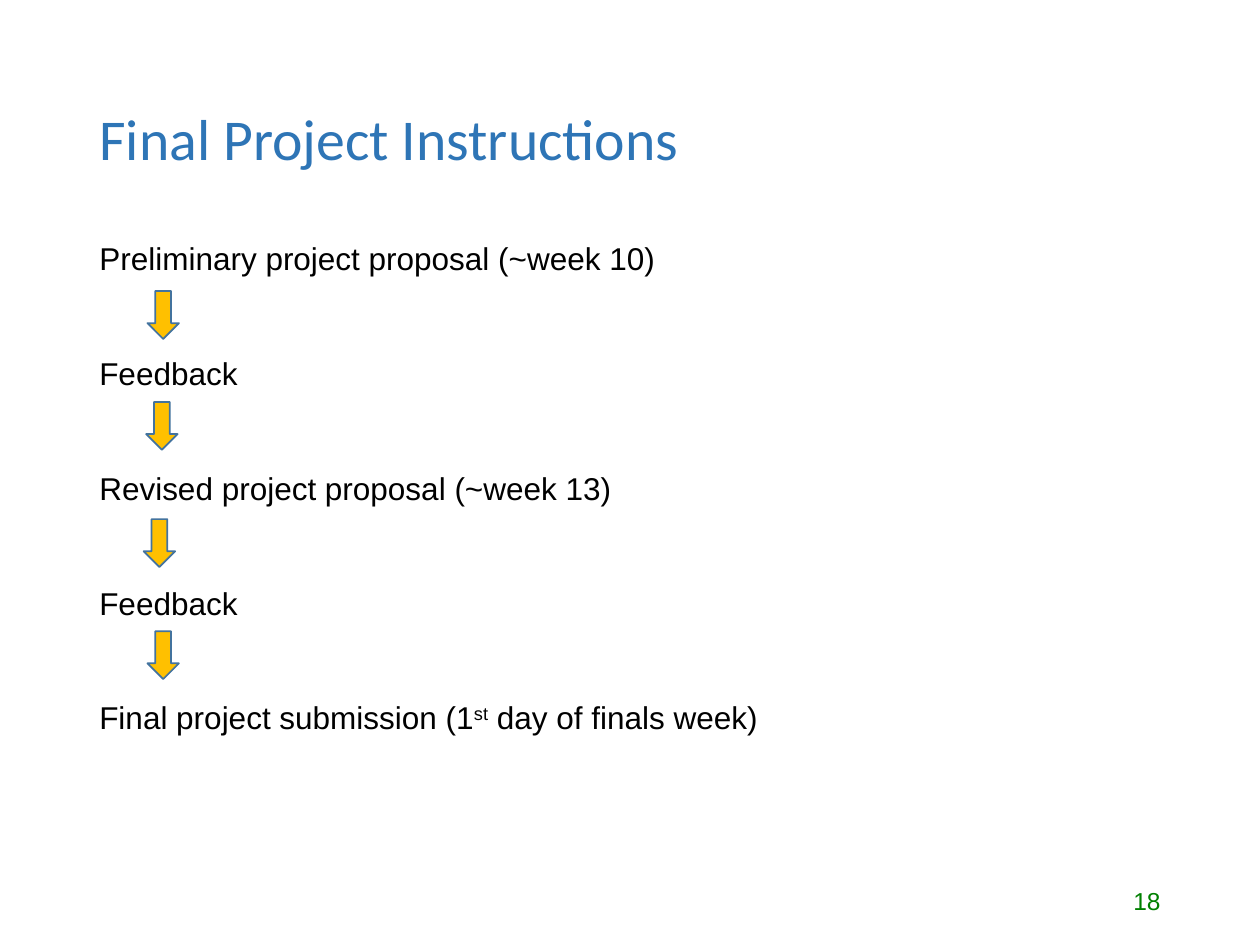
from pptx import Presentation
from pptx.dml.color import RGBColor
from pptx.enum.shapes import MSO_SHAPE
from pptx.enum.text import MSO_ANCHOR, PP_ALIGN
from pptx.util import Inches, Pt

# Content: each step is a list of (text, is superscript)
TITLE = "Final Project Instructions"
STEPS = [
    [("Preliminary project proposal (~week 10)", False)],
    [("Feedback", False)],
    [("Revised project proposal (~week 13)", False)],
    [("Feedback", False)],
    [("Final project submission (1", False), ("st", True),
     (" day of finals week)", False)],
]
PAGE = "18"
ARROWS = [(1.17, 2.31), (1.16, 3.19), (1.14, 4.12), (1.17, 5.01)]  # left, top

BLUE = RGBColor(0x2E, 0x75, 0xB6)
BLACK = RGBColor(0, 0, 0)
GREEN = RGBColor(0, 0x80, 0)
GOLD = RGBColor(0xFF, 0xC0, 0)
OUTLINE = RGBColor(0x43, 0x73, 0x9E)

# Layout in inches
WIDTH, HEIGHT = 10, 7.5
MARGIN = 0.69
INNER = WIDTH - 2 * MARGIN
ARROW_W, ARROW_H = 0.25, 0.38
STEP_GAP = Pt(44)

prs = Presentation()
prs.slide_width, prs.slide_height = Inches(WIDTH), Inches(HEIGHT)
s = prs.slides.add_slide(prs.slide_layouts[6])


def add_text(x, y, w, h, anchor):
    tf = s.shapes.add_textbox(*map(Inches, (x, y, w, h))).text_frame
    tf.word_wrap = True
    tf.vertical_anchor = anchor
    return tf


def add_run(p, text, size, color, font="Arial"):
    r = p.add_run()
    r.text = text
    r.font.size, r.font.name = Pt(size), font
    r.font.color.rgb = color
    return r


# Title
p = add_text(MARGIN, 0.4, INNER, 1.45, MSO_ANCHOR.MIDDLE).paragraphs[0]
p.line_spacing = 0.9
add_run(p, TITLE, 33, BLUE, "Calibri")

# Page number
p = add_text(WIDTH - MARGIN - 2.25, 6.95, 2.25, 0.4, MSO_ANCHOR.MIDDLE).paragraphs[0]
p.alignment = PP_ALIGN.RIGHT
add_run(p, PAGE, 14, GREEN)

# Steps
tf = add_text(MARGIN, 1.85, 5.9, 4.04, MSO_ANCHOR.TOP)
for i, step in enumerate(STEPS):
    p = tf.add_paragraph() if i else tf.paragraphs[0]
    if i:
        p.space_before = STEP_GAP
    for text, raised in step:
        r = add_run(p, text, 18, BLACK)
        if raised:
            r.font._element.set("baseline", "30000")

# Arrows between steps
for x, y in ARROWS:
    sp = s.shapes.add_shape(MSO_SHAPE.DOWN_ARROW,
                            *map(Inches, (x, y, ARROW_W, ARROW_H)))
    sp.shadow.inherit = False
    sp.fill.solid()
    sp.fill.fore_color.rgb = GOLD
    sp.line.color.rgb = OUTLINE
    sp.line.width = Pt(1)

prs.save("out.pptx")
